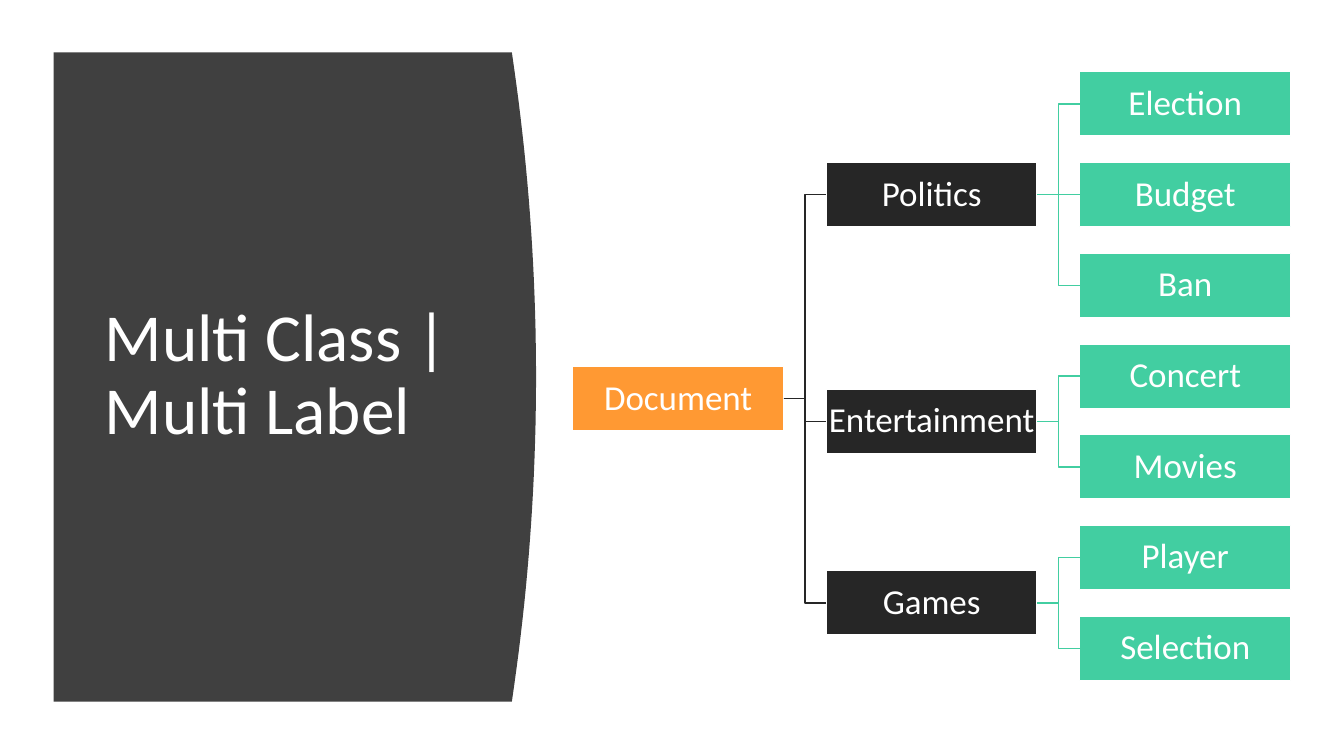
from pptx import Presentation
from pptx.dml.color import RGBColor
from pptx.enum.shapes import MSO_CONNECTOR as LINK, MSO_SHAPE as SHAPE
from pptx.enum.text import MSO_ANCHOR as ANCHOR, MSO_AUTO_SIZE as AUTO, PP_ALIGN as ALIGN
from pptx.oxml.ns import qn
from pptx.util import Cm, Pt
from lxml.etree import SubElement

WHITE, GREY, BLACK, ORANGE, GREEN = "FFFFFF", "404040", "262626", "FF9933", "42CEA1"
LEVEL_FILLS = [ORANGE, BLACK, GREEN]
TREE_LEFT, LEVEL_STEP = 14.43, 6.39
FIRST_ROW, ROW_STEP = 2.62, 2.286
BOX_W, BOX_H = 5.32, 1.62
LABELS = ("Document", [
    ("Politics", [("Election", []), ("Budget", []), ("Ban", [])]),
    ("Entertainment", [("Concert", []), ("Movies", [])]),
    ("Games", [("Player", []), ("Selection", [])]),
])


def rgb(color):
    return RGBColor.from_string(color)


def apply(obj, values):
    for name, value in values.items():
        setattr(obj, name, value)


def set_text(sp, text, size, align, margin):
    tf = sp.text_frame
    apply(tf, {"text": text, "word_wrap": True, "auto_size": AUTO.NONE,
               "vertical_anchor": ANCHOR.MIDDLE})
    apply(tf, {f"margin_{side}": Cm(margin) for side in ("left", "top", "right", "bottom")})
    p = tf.paragraphs[0]
    apply(p, {"alignment": align, "line_spacing": 0.9})
    apply(p.runs[0].font, {"name": "Calibri", "size": Pt(size)})
    p.runs[0].font.color.rgb = rgb(WHITE)


def add_panel(slide, left, top, right, height, bulge, steps=40):
    points = []
    for i in range(steps + 1):
        t = i / steps
        x = right + bulge * (1 - (2 * t - 1) ** 2)
        points.append((Cm(x), Cm(top + height * t)))
    points.append((Cm(left), Cm(top + height)))
    builder = slide.shapes.build_freeform(Cm(left), Cm(top))
    builder.add_line_segments(points, close=True)
    sp = builder.convert_to_shape()
    sp.shadow.inherit = False
    sp.fill.solid()
    sp.fill.fore_color.rgb = rgb(GREY)
    sp.line.fill.background()
    return sp


def add_title(slide, text):
    sp = slide.shapes.title
    apply(sp, {"left": Cm(2.39), "top": Cm(2.82), "width": Cm(9.5), "height": Cm(13.31)})
    set_text(sp, text, 48, ALIGN.LEFT, 0.25)
    return sp


def add_box(slide, text, level, middle):
    sp = slide.shapes.add_shape(
        SHAPE.RECTANGLE, Cm(TREE_LEFT + level * LEVEL_STEP), Cm(middle - BOX_H / 2),
        Cm(BOX_W), Cm(BOX_H))
    sp.shadow.inherit = False
    sp.fill.solid()
    sp.fill.fore_color.rgb = rgb(LEVEL_FILLS[level])
    sp.line.color.rgb = rgb(WHITE)
    sp.line.width = Pt(1)
    set_text(sp, text, 25, ALIGN.CENTER, 0.04)
    return sp


def add_link(slide, parent, child, color):
    level_gap = abs(parent.top - child.top)
    kind = LINK.STRAIGHT if level_gap < Cm(0.02) else LINK.ELBOW
    link = slide.shapes.add_connector(kind, 0, 0, 0, 0)
    link.begin_connect(parent, 3)
    link.end_connect(child, 1)
    link.line.color.rgb = rgb(color)
    link.line.width = Pt(1)
    SubElement(link.element.spPr, qn("a:effectLst"))


def add_tree(slide, node, rows, level=0):
    """Draw a node midway between its first and last child; return its box and middle."""
    text, children = node
    branches = [add_tree(slide, child, rows, level + 1) for child in children]
    if branches:
        middle = (branches[0][1] + branches[-1][1]) / 2
    else:
        middle = next(rows)
    sp = add_box(slide, text, level, middle)
    for child, _ in branches:
        add_link(slide, sp, child, LEVEL_FILLS[level + 1])
    return sp, middle


def main():
    prs = Presentation()
    apply(prs, {"slide_width": Cm(33.87), "slide_height": Cm(19.05)})
    slide = prs.slides.add_slide(prs.slide_layouts[5])
    title = add_title(slide, "Multi Class | Multi Label")
    panel = add_panel(slide, 1.35, 1.32, 12.9, 16.36, 0.61)
    title.element.addprevious(panel.element)
    rows = (FIRST_ROW + i * ROW_STEP for i in range(7))
    add_tree(slide, LABELS, rows)
    prs.save("out.pptx")


if __name__ == "__main__":
    main()
